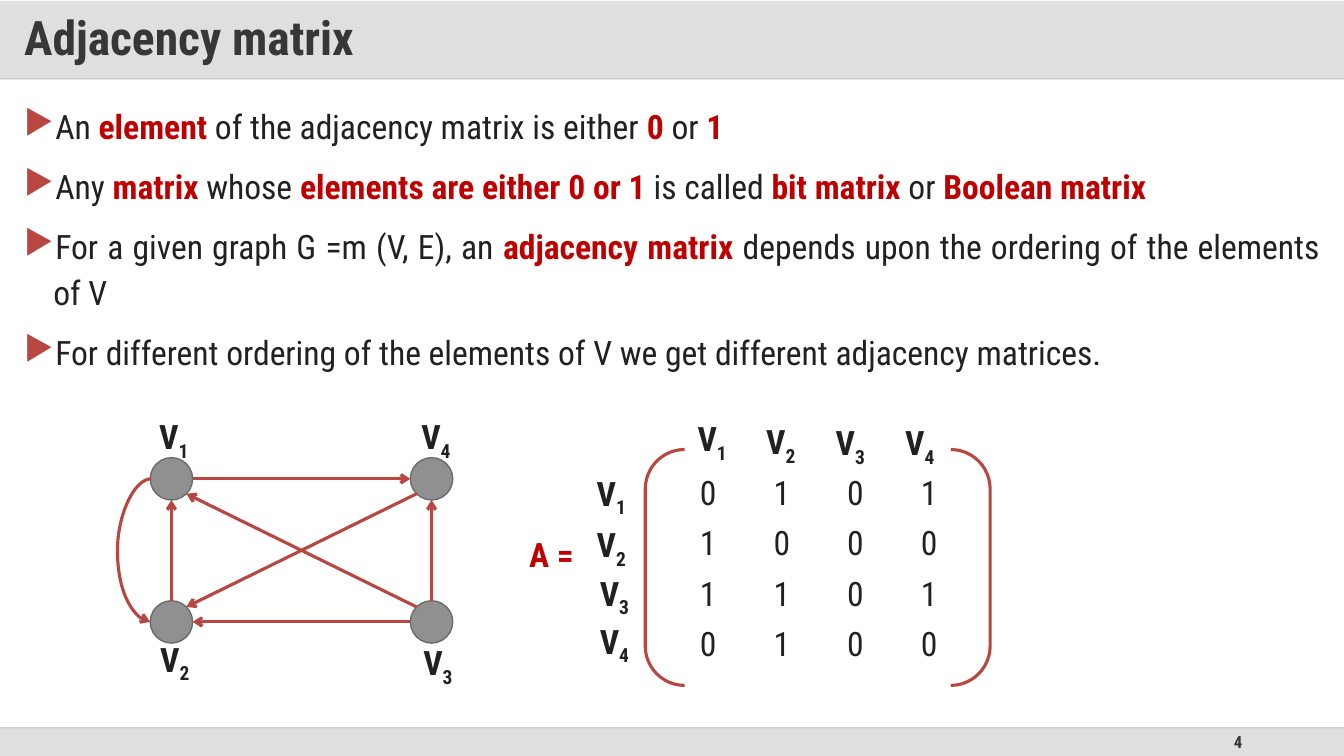
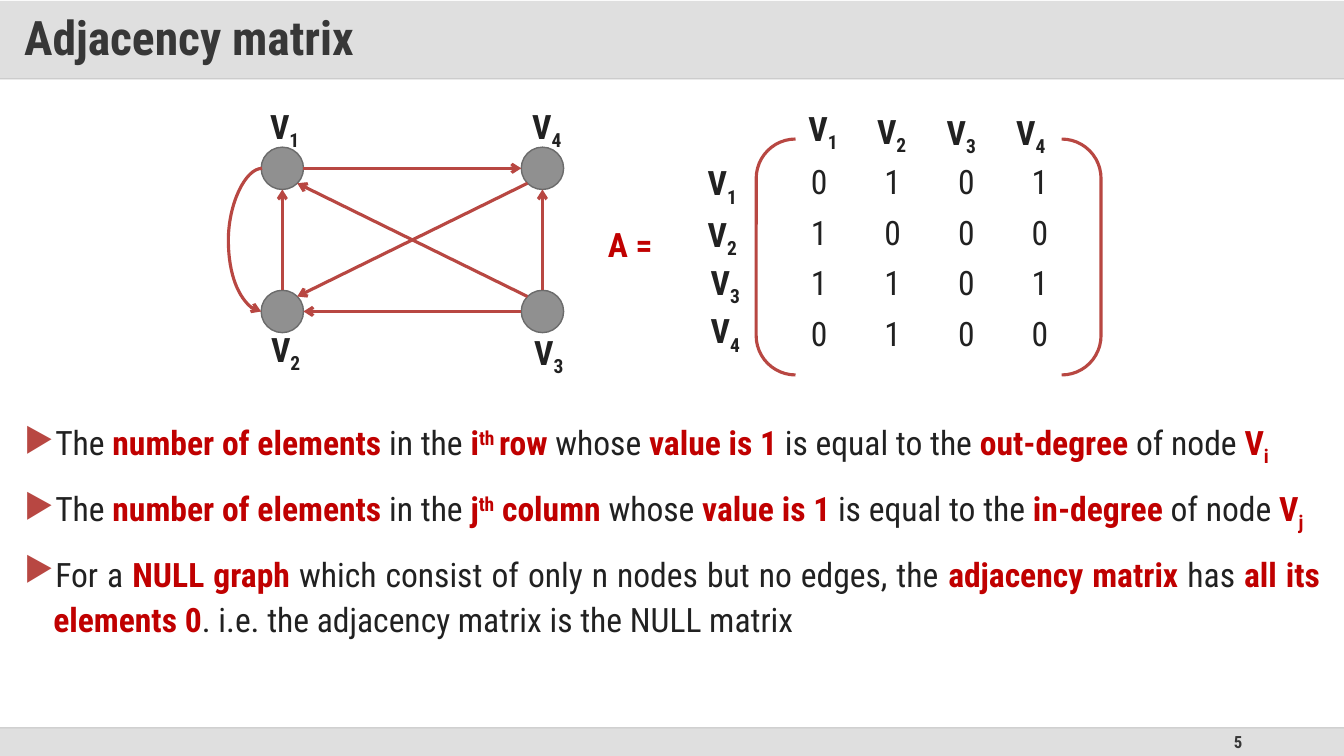
from dataclasses import dataclass
from math import sqrt

from lxml import etree
from pptx import Presentation
from pptx.dml.color import RGBColor
from pptx.enum.shapes import MSO_CONNECTOR, MSO_SHAPE
from pptx.enum.text import MSO_ANCHOR, MSO_AUTO_SIZE, PP_ALIGN
from pptx.oxml.ns import qn
from pptx.util import Inches, Pt


@dataclass(frozen=True)
class Theme:
    font: str = "Roboto Condensed"
    ink: str = "212121"
    heading: str = "373737"
    key: str = "C00000"
    accent: str = "B84742"
    node: str = "909090"
    node_line: str = "6B6B6B"
    band: str = "C0C0C0"
    footer: str = "DFDFDF"
    band_line: str = "D9D9D9"
    footer_line: str = "BFBFBF"
    title_pt: float = 34
    body_pt: float = 24
    number_pt: float = 12
    edge_pt: float = 2.25
    hair_pt: float = 1


T = Theme()
WIDTH, HEIGHT = 13.33, 7.5

NODE = 0.42
NODES = {"1": (0, 0), "2": (0, 1.42), "3": (2.58, 1.42), "4": (2.58, 0)}
NODE_LABELS = {"1": (-0.01, -0.46), "2": (0, 1.75), "3": (2.61, 1.78), "4": (2.59, -0.46)}
# from node, side it leaves, to node, side it reaches
EDGES = [("1", "e", "4", "w"), ("3", "n", "4", "s"), ("3", "w", "2", "e"),
         ("4", "sw", "2", "ne"), ("3", "nw", "1", "se"), ("2", "n", "1", "s")]
SIDES = {"n": (0, -1), "s": (0, 1), "e": (1, 0), "w": (-1, 0)}

MATRIX = ["0101", "1000", "1101", "0100"]
CELL_W, CELL_H = 0.73, 0.5
COLUMN_LABELS = [(0.42, -0.36), (1.1, -0.33), (1.79, -0.32), (2.48, -0.32)]
ROW_LABELS = [(-0.58, 0.18), (-0.58, 0.69), (-0.55, 1.17), (-0.55, 1.65)]

ELEMENT_POINTS = [
    "An *element *of the adjacency matrix is either *0 *or *1*",
    "Any *matrix *whose *elements are either 0 or 1 *is called *bit matrix *or *Boolean matrix*",
    "For a given graph G =m (V, E), an *adjacency matrix *depends upon the ordering of the "
    "elements of V",
    "For different ordering of the elements of V we get different adjacency matrices.",
]
DEGREE_POINTS = [
    "The *number of elements* in the *i|^th |row *whose *value is 1 *is equal to the "
    "*out-degree* of node *V|_i*",
    "The *number of elements *in the *j|^th| column *whose *value is 1 *is equal to the "
    "*in-degree* of node *V|_j*",
    "For a *NULL graph *which consist of only n nodes but no edges, the *adjacency matrix *has "
    "*all its elements 0*. i.e. the adjacency matrix is the NULL matrix",
]


def rgb(value):
    return RGBColor.from_string(value)


def inches(*values):
    return [Inches(v) for v in values]


def set_all(target, **formats):
    for name, value in formats.items():
        setattr(target, name, value)


def set_alpha(shape, percent):
    color = next(shape._element.spPr.iter(qn("a:srgbClr")))
    etree.SubElement(color, qn("a:alpha")).set("val", str(percent * 1000))


def add_run(p, text, size=T.body_pt, color=T.ink, bold=False, baseline=0):
    r = p.add_run()
    r.text = text
    set_all(r.font, name=T.font, size=Pt(size), bold=bold)
    r.font.color.rgb = rgb(color)
    if baseline:
        r._r.get_or_add_rPr().set("baseline", str(baseline * 1000))


def add_scripted(p, text, **formats):
    """Add runs split at |, where a leading ^ raises and _ lowers a run."""
    for part in text.split("|"):
        baseline = {"^": 30, "_": -25}.get(part[0], 0)
        add_run(p, part[1:] if baseline else part, baseline=baseline, **formats)


def add_marked(p, text):
    """Add runs, with the stretches between asterisks as bold key words."""
    for i, part in enumerate(text.split("*")):
        if part:
            key = i % 2 == 1
            add_scripted(p, part, bold=key, color=T.key if key else T.ink)


def add_shape(s, kind, box, fill=None, line=None, width=T.hair_pt):
    sp = s.shapes.add_shape(kind, *inches(*box))
    sp.shadow.inherit = False
    if fill:
        sp.fill.solid()
        sp.fill.fore_color.rgb = rgb(fill)
    else:
        sp.fill.background()
    if line:
        sp.line.color.rgb = rgb(line)
        sp.line.width = Pt(width)
    else:
        sp.line.fill.background()
    return sp


def add_line(s, start, end, color, width, arrow=False, kind=MSO_CONNECTOR.STRAIGHT):
    line = s.shapes.add_connector(kind, *inches(*start, *end))
    line.line.color.rgb = rgb(color)
    line.line.width = Pt(width)
    if arrow:
        etree.SubElement(line.line._get_or_add_ln(), qn("a:tailEnd")).set("type", "arrow")
    etree.SubElement(line._element.spPr, qn("a:effectLst"))
    return line


def add_label(s, x, y, text, width=0.52, color=T.ink):
    tf = s.shapes.add_textbox(*inches(x, y, width, 0.5)).text_frame
    set_all(tf, word_wrap=False, auto_size=MSO_AUTO_SIZE.SHAPE_TO_FIT_TEXT)
    add_scripted(tf.paragraphs[0], text, bold=True, color=color)


def add_footer(s, number):
    top, height = 7.22, 0.28
    add_shape(s, MSO_SHAPE.RECTANGLE, (0, top, WIDTH, height), T.footer)
    tf = s.shapes.add_textbox(*inches(9.42, top, 3, height)).text_frame
    set_all(tf, word_wrap=True, vertical_anchor=MSO_ANCHOR.MIDDLE)
    p = tf.paragraphs[0]
    p.alignment = PP_ALIGN.RIGHT
    add_run(p, str(number), T.number_pt, T.heading, True)
    set_alpha(add_line(s, (0, top), (WIDTH, top), T.footer_line, T.hair_pt), 70)


def add_title(s, text):
    add_line(s, (0, 0.78), (WIDTH, 0.78), T.band_line, T.hair_pt)
    band = add_shape(s, MSO_SHAPE.RECTANGLE, (0, 0.01, WIDTH, 0.78), T.band)
    set_alpha(band, 50)
    tf = band.text_frame
    set_all(tf, word_wrap=True, vertical_anchor=MSO_ANCHOR.MIDDLE,
            margin_left=Inches(0.24), margin_right=Inches(0.24),
            margin_top=Inches(0.12), margin_bottom=Inches(0.12))
    p = tf.paragraphs[0]
    set_all(p, alignment=PP_ALIGN.LEFT, line_spacing=0.9)
    add_run(p, text, T.title_pt, T.heading, True)


def add_bullet(p):
    pPr = p._p.get_or_add_pPr()
    pPr.set("marL", str(Inches(0.29)))
    pPr.set("indent", str(-Inches(0.29)))
    color = etree.SubElement(pPr, qn("a:buClr"))
    etree.SubElement(color, qn("a:srgbClr")).set("val", T.accent)
    etree.SubElement(pPr, qn("a:buChar")).set("char", "▶")


def add_points(s, box, points):
    tf = s.shapes.add_textbox(*inches(*box)).text_frame
    tf.word_wrap = True
    for i, text in enumerate(points):
        p = tf.add_paragraph() if i else tf.paragraphs[0]
        add_bullet(p)
        set_all(p, alignment=PP_ALIGN.JUSTIFY, line_spacing=1.14,
                space_before=Pt(10 if i else 0))
        add_marked(p, text)


def node_point(x, y, name, side):
    """Return the point on a node's rim that faces the given side."""
    dx, dy = (sum(SIDES[c][axis] for c in side) for axis in (0, 1))
    reach = NODE / 2 / sqrt(len(side))
    left, top = NODES[name]
    return x + left + NODE / 2 + dx * reach, y + top + NODE / 2 + dy * reach


def add_graph(s, x, y):
    for dx, dy in NODES.values():
        add_shape(s, MSO_SHAPE.OVAL, (x + dx, y + dy, NODE, NODE), T.node, T.node_line)
    for start, leave, end, reach in EDGES:
        add_line(s, node_point(x, y, start, leave), node_point(x, y, end, reach),
                 T.accent, T.edge_pt, arrow=True)
    left, top = node_point(x, y, "1", "w")
    loop = add_line(s, (left + 0.01, top), node_point(x, y, "2", "w"), T.accent, T.edge_pt,
                    arrow=True, kind=MSO_CONNECTOR.CURVE)
    guides = loop._element.spPr.find(qn("a:prstGeom")).get_or_add_avLst()
    bulge = etree.SubElement(guides, qn("a:gd"))
    bulge.set("name", "adj1")
    bulge.set("fmla", "val 3400000")
    for name, (dx, dy) in NODE_LABELS.items():
        add_label(s, x + dx, y + dy, f"V|_{name}")


def add_matrix(s, x, y, name_dx):
    size = len(MATRIX)
    table = s.shapes.add_table(size, size, *inches(x + 0.26, y + 0.19, size * CELL_W,
                                                   size * CELL_H)).table
    set_all(table, first_row=False, horz_banding=False)
    for i, digits in enumerate(MATRIX):
        table.columns[i].width = Inches(CELL_W)
        table.rows[i].height = Inches(CELL_H)
        for j, digit in enumerate(digits):
            cell = table.cell(i, j)
            cell.fill.background()
            cell.vertical_anchor = MSO_ANCHOR.MIDDLE
            p = cell.text_frame.paragraphs[0]
            p.alignment = PP_ALIGN.CENTER
            add_run(p, digit)
    add_shape(s, MSO_SHAPE.DOUBLE_BRACKET, (x, y, 3.42, 2.34), line=T.accent, width=T.edge_pt)
    for labels in (COLUMN_LABELS, ROW_LABELS):
        for i, (dx, dy) in enumerate(labels, 1):
            add_label(s, x + dx, y + dy, f"V|_{i}")
    add_label(s, x + name_dx, y + 0.79, "A =", 0.65, T.key)


def add_matrix_slide(prs, number, points, points_box, figure, name_dx):
    s = prs.slides.add_slide(prs.slide_layouts[6])
    add_footer(s, number)
    add_title(s, "Adjacency matrix")
    add_points(s, points_box, points)
    x, y = figure
    add_graph(s, x, y)
    add_matrix(s, x + 4.91, y - 0.08, name_dx)


def main():
    prs = Presentation()
    set_all(prs, slide_width=Inches(WIDTH), slide_height=Inches(HEIGHT))
    add_matrix_slide(prs, 4, ELEMENT_POINTS, (0.14, 0.95, 13.05, 6.11), (1.49, 4.54), -1.25)
    add_matrix_slide(prs, 5, DEGREE_POINTS, (0.14, 4.07, 13.05, 2.99), (2.59, 1.46), -1.57)
    prs.save("out.pptx")


if __name__ == "__main__":
    main()
